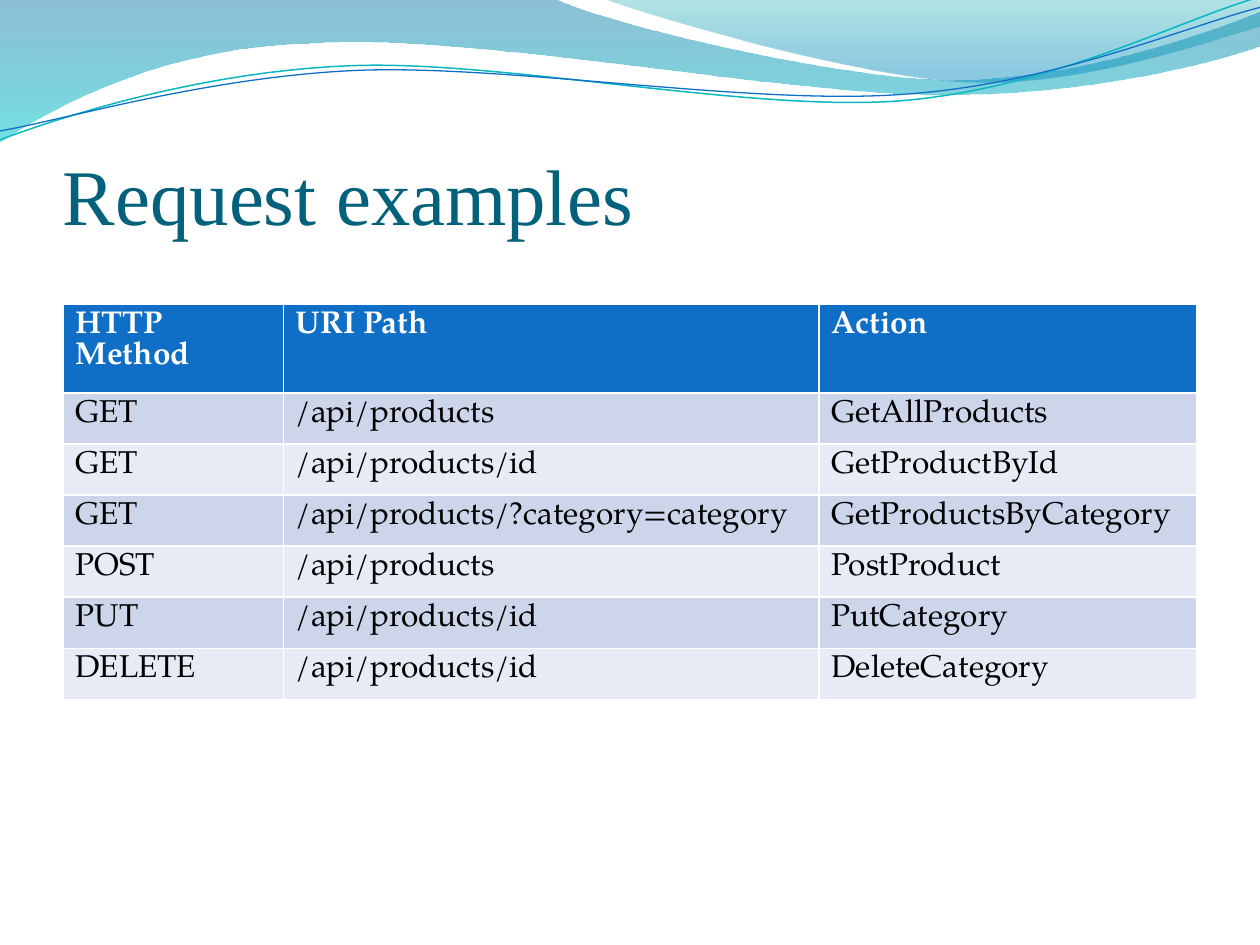
from lxml import etree
from pptx import Presentation, util as u
from pptx.dml.color import RGBColor
from pptx.enum import text
from pptx.oxml.ns import qn

COLORS = {
    "title": "04617B", "header": "0F6FC6", "odd": "CCD5EA", "even": "E7EBF5",
    "white": "FFFFFF", "black": "000000", "teal_line": "0AB8BF", "blue_line": "0F6FC6",
    "wave_top": "0074A1", "wave_bottom": "00C6CF",
    "crest_top": "00A1A9", "crest_bottom": "008BBF",
}


def write_text(frame, words, size=18, font="TeX Gyre Pagella", color="black", bold=False):
    run = frame.paragraphs[0].add_run()
    run.text = words
    run.font.size = u.Pt(size)
    run.font.name = font
    run.font.bold = bold
    run.font.color.rgb = RGBColor.from_string(COLORS[color])


def draw_curve(start, segments, closed):
    """Draw lines (x, y) and cubic curves (three x, y pairs), all in cm."""
    points = [(u.Cm(s[i]), u.Cm(s[i + 1])) for s in segments for i in range(0, len(s), 2)]
    builder = slide.shapes.build_freeform(u.Cm(start[0]), u.Cm(start[1]))
    builder.add_line_segments(points, close=closed)
    curve = builder.convert_to_shape()
    curve.shadow.inherit = False
    # Turn each run of three points into one cubic curve
    corners = iter(list(curve._element.iter(qn("a:lnTo"))))
    for segment in segments:
        corner = next(corners)
        if len(segment) == 6:
            corner.addprevious(bend := etree.Element(qn("a:cubicBezTo")))
            for control in (corner, next(corners), next(corners)):
                bend.append(control[0])
                control.getparent().remove(control)
    return curve


prs = Presentation()
prs.slide_width, prs.slide_height = u.Cm(25.4), u.Cm(19.05)
slide = prs.slides.add_slide(prs.slide_layouts[6])

# Translucent waves: start, segments, gradient stops (position, colour, opacity %)
waves = [
    ((0, 0),
     [(11.18, -0.03), (12.09, 0.43, 16.87, 1.6, 19.25, 1.6),
      (21.67, 1.6, 24.33, 0.66, 25.4, 0.23), (25.43, 0.91),
      (24.97, 1.12, 22.1, 1.93, 18.95, 1.91), (15.8, 1.91, 9.7, 0.71, 6.53, 0.86),
      (3.28, 0.91, 1.17, 2.11, -0.03, 2.87), (0, 0)],
     [(0, "wave_top", 45), (1, "wave_bottom", 55)]),
    ((12.17, -0.03),
     [(12.93, 0.28, 17.32, 1.57, 19.53, 1.65), (21.74, 1.75, 24.41, 0.81, 25.4, 0.53),
      (25.4, 0), (12.17, -0.03)],
     [(0, "crest_top", 30), (0.8, "crest_bottom", 45)]),
]
for start, segments, stops in waves:
    wave = draw_curve(start, segments, closed=True)
    wave.line.fill.background()
    wave.fill.gradient()
    wave.fill.gradient_angle = 270
    for stop, (position, color, opacity) in zip(wave.fill.gradient_stops, stops):
        stop.position = position
        stop.color.rgb = RGBColor.from_string(COLORS[color])
    for rgb, (_, _, opacity) in zip(wave._element.spPr.iter(qn("a:srgbClr")), stops):
        etree.SubElement(rgb, qn("a:alpha"), val=str(opacity * 1000))

# Thin lines that follow the waves, slightly tilted
strands = [
    ((-0.05, 2.22), [(1.19, 1.82, 4.02, 1.04, 7.05, 1.06), (10.05, 1.07, 15.02, 2.37, 18.08, 2.29),
                     (21.13, 2.2, 23.86, 0.91, 25.41, 0.55)], "teal_line", 0.85),
    ((-0.04, 2.04), [(1.16, 1.9, 4.17, 1.15, 7.2, 1.16), (10.25, 1.18, 15.13, 2.25, 18.19, 2.16),
                     (21.22, 2.1, 23.93, 1.06, 25.45, 0.75)], "blue_line", 0.75),
]
for start, segments, color, width in strands:
    strand = draw_curve(start, segments, closed=False)
    strand.rotation = 357.3
    strand.fill.background()
    strand.line.color.rgb = RGBColor.from_string(COLORS[color])
    strand.line.width = u.Pt(width)

# Title
title = slide.shapes.add_textbox(u.Cm(1.27), u.Cm(1.7), u.Cm(22.86), u.Cm(3.17)).text_frame
title.word_wrap = True
title.vertical_anchor = text.MSO_ANCHOR.BOTTOM
title.margin_left = title.margin_right = title.margin_bottom = 0
title.margin_top = u.Cm(0.13)
write_text(title, "Request examples", size=45, font="Times New Roman", color="title")

# Request table; the default style gives the white borders
requests = [
    ("HTTP Method", "URI Path", "Action"),
    ("GET", "/api/products", "GetAllProducts"),
    ("GET", "/api/products/id", "GetProductById"),
    ("GET", "/api/products/?category=category", "GetProductsByCategory"),
    ("POST", "/api/products", "PostProduct"),
    ("PUT", "/api/products/id", "PutCategory"),
    ("DELETE", "/api/products/id", "DeleteCategory"),
]
table_frame = slide.shapes.add_table(
    len(requests), 3, u.Cm(1.27), u.Cm(6.14), u.Cm(22.86), u.Cm(7.95))
table = table_frame.table
for column, width in zip(table.columns, (4.44, 10.8, 7.62)):
    column.width = u.Cm(width)

for r, request in enumerate(requests):
    is_header = r == 0
    table.rows[r].height = u.Cm(1.03)
    band = "header" if is_header else "odd" if r % 2 else "even"
    for c, words in enumerate(request):
        cell = table.cell(r, c)
        write_text(cell.text_frame, words, bold=is_header,
                   color="white" if is_header else "black")
        cell.fill.solid()
        cell.fill.fore_color.rgb = RGBColor.from_string(COLORS[band])
table_frame.height = u.Cm(7.95)

prs.save("out.pptx")
